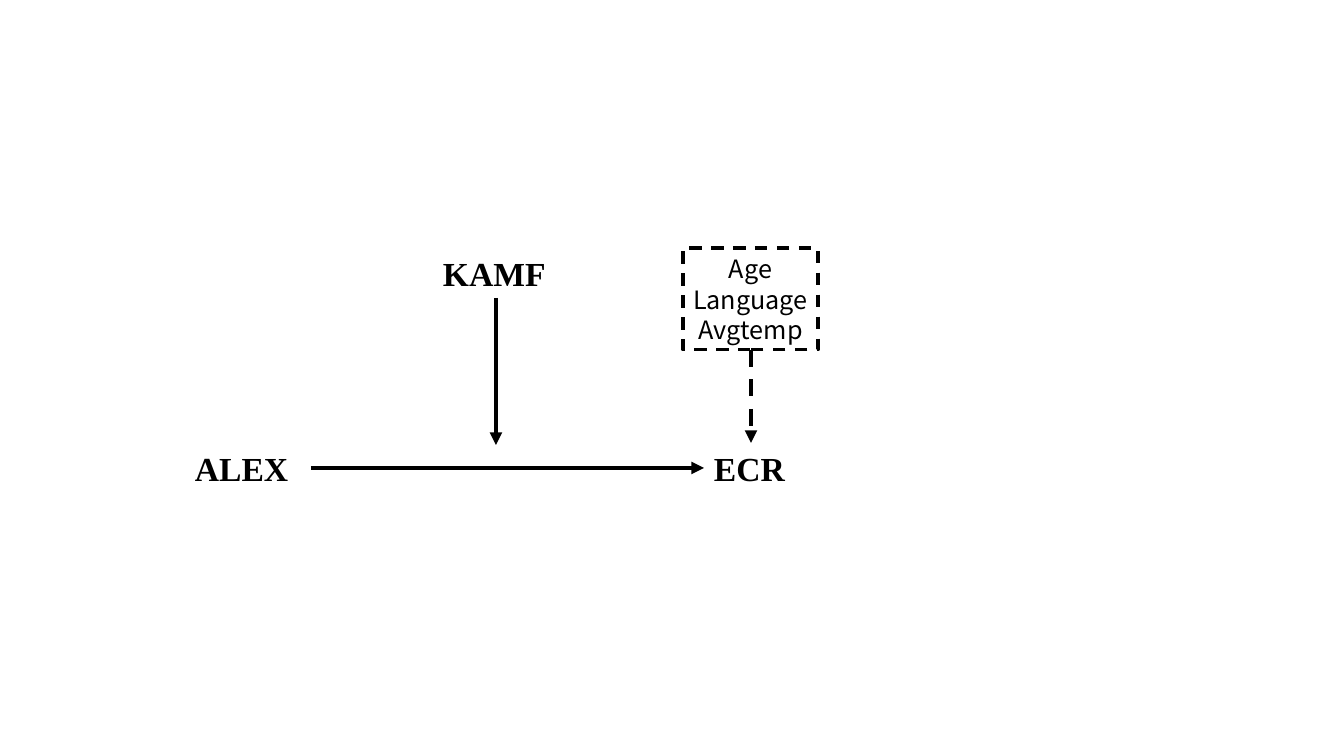
from pptx import Presentation
from pptx.dml.color import RGBColor
from pptx.enum.dml import MSO_LINE
from pptx.enum.shapes import MSO_CONNECTOR, MSO_SHAPE
from pptx.enum.text import MSO_ANCHOR, PP_ALIGN
from pptx.oxml.ns import qn
from pptx.util import Pt
from lxml.etree import SubElement

SCALE = 914400 / 100.8
INK = "000000"


def px(n):
    return round(n * SCALE)


def paint(color, code):
    color.rgb = RGBColor.from_string(code)


def write(para, text, font, size, bold=False):
    run = para.add_run()
    run.text = text
    run.font.name, run.font.size, run.font.bold = font, Pt(size), bold
    paint(run.font.color, INK)
    # Same face for East Asian text
    SubElement(run.font._element, qn("a:ea")).set("typeface", font)


def stroke(line, width, dashed):
    paint(line.color, INK)
    line.width = Pt(width)
    if dashed:
        line.dash_style = MSO_LINE.DASH


def label(slide, text, x, y, w, h):
    box = slide.shapes.add_textbox(px(x), px(y), px(w), px(h))
    box.text_frame.word_wrap = True
    write(box.text_frame.paragraphs[0], text, "Times New Roman", 24, True)


def arrow(slide, x1, y1, x2, y2, dashed=False):
    link = slide.shapes.add_connector(
        MSO_CONNECTOR.STRAIGHT, px(x1), px(y1), px(x2), px(y2))
    stroke(link.line, 3, dashed)
    props = link._element.spPr
    SubElement(props.find(qn("a:ln")), qn("a:tailEnd")).set("type", "triangle")
    SubElement(props, qn("a:effectLst"))


def controls(slide, names, x, y, w, h):
    box = slide.shapes.add_shape(
        MSO_SHAPE.RECTANGLE, px(x), px(y), px(w), px(h))
    box.shadow.inherit = False
    box.fill.background()
    stroke(box.line, 2.25, True)
    frame = box.text_frame
    frame.word_wrap = True
    frame.vertical_anchor = MSO_ANCHOR.MIDDLE
    for i, name in enumerate(names):
        para = frame.add_paragraph() if i else frame.paragraphs[0]
        para.alignment = PP_ALIGN.CENTER
        write(para, name, "Noto Sans CJK SC", 18)


def model(slide, x, y, w, h):
    tall, wide = 50, 126
    base = y + h - tall
    mid = base + tall // 2
    goal = x + w - 95
    # Variables
    label(slide, "ALEX", x, base, wide, tall)
    label(slide, "ECR", goal, base, 95, tall)
    label(slide, "KAMF", x + 248, y, wide, tall)
    # Main effect and moderator
    arrow(slide, x + wide, mid, goal, mid)
    arrow(slide, x + 311, y + tall, x + 311, base + 2)
    # Control variables
    left, side, deep = x + 498, 135, 102
    controls(slide, ["Age", "Language", "Avgtemp"], left, y, side, deep)
    stem = left + side // 2 + 1
    arrow(slide, stem, y + deep, stem, base, True)


deck = Presentation()
deck.slide_width, deck.slide_height = px(1344), px(756)
slide = deck.slides.add_slide(deck.slide_layouts[6])
model(slide, 185, 248, 614, 245)
deck.save("out.pptx")
